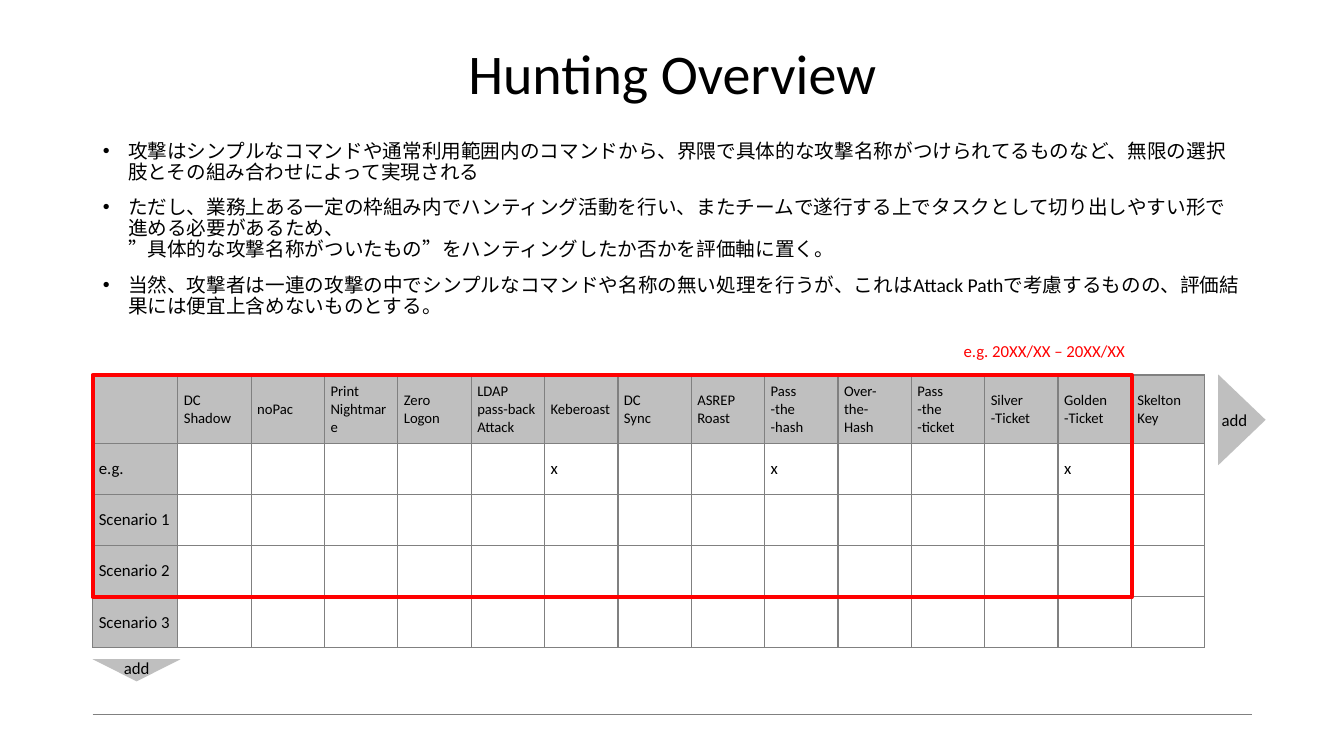
from dataclasses import dataclass
from typing import Any

from lxml.etree import SubElement
from pptx import Presentation
from pptx.dml.color import RGBColor
from pptx.enum.shapes import MSO_CONNECTOR, MSO_SHAPE
from pptx.enum.text import MSO_ANCHOR, MSO_AUTO_SIZE, PP_ALIGN
from pptx.oxml import parse_xml
from pptx.oxml.ns import nsdecls, qn
from pptx.util import Inches, Pt

BLACK = RGBColor(0x00, 0x00, 0x00)
WHITE = RGBColor(0xFF, 0xFF, 0xFF)
SILVER = RGBColor(0xBF, 0xBF, 0xBF)
GRAY = RGBColor(0x80, 0x80, 0x80)
RED = RGBColor(0xFF, 0x00, 0x00)

SLIDE_WIDTH, SLIDE_HEIGHT = Inches(13.33), Inches(7.5)
MARGIN, CONTENT_WIDTH = 6.9, 86.25
TABLE_TOP, STUB_WIDTH, COLUMN_WIDTH = 49.6, 6.33, 5.46
HEADER_HEIGHT, ROW_HEIGHT = 9.07, 6.76

TITLE = "Hunting Overview"
POINTS = [
    "攻撃はシンプルなコマンドや通常利用範囲内のコマンドから、界隈で具体的な攻撃名称がつけられてるものなど、"
    "無限の選択肢とその組み合わせによって実現される",
    "ただし、業務上ある一定の枠組み内でハンティング活動を行い、またチームで遂行する上でタスクとして"
    "切り出しやすい形で進める必要があるため、\n"
    "”具体的な攻撃名称がついたもの”をハンティングしたか否かを評価軸に置く。",
    "当然、攻撃者は一連の攻撃の中でシンプルなコマンドや名称の無い処理を行うが、これはAttack Pathで"
    "考慮するものの、評価結果には便宜上含めないものとする。",
]
ATTACKS = [
    "DC\nShadow", "noPac", "Print\nNightmare", "Zero\nLogon", "LDAP\npass-back\nAttack",
    "Keberoast", "DC\nSync", "ASREP\nRoast", "Pass\n-the\n-hash", "Over-\nthe-\nHash",
    "Pass\n-the\n-ticket", "Silver\n-Ticket", "Golden\n-Ticket", "Skelton\nKey",
]
SCENARIOS = ["e.g.", "Scenario 1", "Scenario 2", "Scenario 3"]
HUNTED = {(1, ATTACKS.index(name) + 1) for name in ("Keberoast", "Pass\n-the\n-hash", "Golden\n-Ticket")}
PERIOD_COLUMNS, PERIOD_ROWS = 13, 3


def across(percent: float) -> int:
    return int(SLIDE_WIDTH * percent / 100)


def down(percent: float) -> int:
    return int(SLIDE_HEIGHT * percent / 100)


@dataclass(frozen=True)
class Area:
    left: float
    top: float
    width: float
    height: float

    def lengths(self) -> tuple[int, int, int, int]:
        return across(self.left), down(self.top), across(self.width), down(self.height)


@dataclass(frozen=True)
class Label:
    text: str
    area: Area
    color: RGBColor = BLACK


@dataclass(frozen=True)
class Pointer:
    area: Area
    rotation: float


TITLE_AREA = Area(MARGIN, 5.33, CONTENT_WIDTH, 9.6)
BODY_AREA = Area(MARGIN, 18, CONTENT_WIDTH, 75.2)
TABLE_AREA = Area(
    MARGIN, TABLE_TOP,
    STUB_WIDTH + len(ATTACKS) * COLUMN_WIDTH, HEADER_HEIGHT + len(SCENARIOS) * ROW_HEIGHT,
)
PERIOD_AREA = Area(
    MARGIN, TABLE_TOP,
    STUB_WIDTH + PERIOD_COLUMNS * COLUMN_WIDTH, HEADER_HEIGHT + PERIOD_ROWS * ROW_HEIGHT,
)
POINTERS = [
    Pointer(Area(MARGIN, 87.2, 6.53, 2.93), 180),
    Pointer(Area(89.03, 52.4, 6.75, 6.27), 90),
]
LABELS = [
    Label("add", Area(7.88, 86.4, 4.58, 4)),
    Label("add", Area(89.55, 53.6, 4.58, 4)),
    Label("e.g. 20XX/XX – 20XX/XX", Area(69.75, 44.4, 15.9, 4), RED),
]


def apply(target: Any, values: dict[str, Any]) -> None:
    for name, value in values.items():
        setattr(target, name, value)


def write(para: Any, text: str, size: float, color: RGBColor = BLACK, **layout: Any) -> None:
    para.text = text
    apply(para, layout)
    for span in para.runs:
        apply(span.font, {"name": "Calibri", "size": Pt(size), "bold": False})
        span.font.color.rgb = color


def place(shape: Any, area: Area) -> None:
    apply(shape, dict(zip(("left", "top", "width", "height"), area.lengths())))


def fill_title(title: Any) -> None:
    place(title, TITLE_AREA)
    apply(title.text_frame, {"vertical_anchor": MSO_ANCHOR.MIDDLE, "auto_size": MSO_AUTO_SIZE.NONE})
    write(title.text_frame.paragraphs[0], TITLE, 40, alignment=PP_ALIGN.CENTER, line_spacing=0.9)


def fill_body(body: Any) -> None:
    place(body, BODY_AREA)
    frame = body.text_frame
    frame.auto_size = MSO_AUTO_SIZE.NONE
    for index, point in enumerate(POINTS):
        para = frame.add_paragraph() if index else frame.paragraphs[0]
        write(para, point, 14, line_spacing=0.9, space_before=Pt(10))
        properties = para._p.get_or_add_pPr()
        properties.set("marL", str(Inches(0.25)))
        properties.set("indent", str(-Inches(0.25)))
        SubElement(properties, qn("a:buChar")).set("char", "•")


def border_cell(cell: Any) -> None:
    properties = cell._tc.get_or_add_tcPr()
    for index, side in enumerate(("lnL", "lnR", "lnT", "lnB")):
        properties.insert(index, parse_xml(
            f'<a:{side} {nsdecls("a")} w="{Pt(1)}"><a:solidFill>'
            f'<a:srgbClr val="{GRAY}"/></a:solidFill></a:{side}>'
        ))


def cell_text(row: int, column: int) -> str:
    if row == 0:
        return ATTACKS[column - 1] if column else ""
    if column == 0:
        return SCENARIOS[row - 1]
    return "x" if (row, column) in HUNTED else ""


def draw_table(page: Any) -> None:
    row_count, column_count = len(SCENARIOS) + 1, len(ATTACKS) + 1
    table = page.shapes.add_table(row_count, column_count, *TABLE_AREA.lengths()).table
    apply(table, {"first_row": False, "horz_banding": False})
    for index, column in enumerate(table.columns):
        column.width = across(COLUMN_WIDTH if index else STUB_WIDTH)
    for index, row in enumerate(table.rows):
        row.height = down(ROW_HEIGHT if index else HEADER_HEIGHT)
    margins = {"margin_left": Inches(0.06), "margin_right": Inches(0.06), "margin_top": 0, "margin_bottom": 0}
    for row in range(row_count):
        for column in range(column_count):
            cell = table.cell(row, column)
            apply(cell, {"vertical_anchor": MSO_ANCHOR.MIDDLE, **margins})
            cell.fill.solid()
            cell.fill.fore_color.rgb = WHITE if row and column else SILVER
            border_cell(cell)
            for index, line in enumerate(cell_text(row, column).split("\n")):
                para = cell.text_frame.add_paragraph() if index else cell.text_frame.paragraphs[0]
                write(para, line, 12 if row else 10.5)


def draw_pointer(page: Any, pointer: Pointer) -> None:
    shape = page.shapes.add_shape(MSO_SHAPE.ISOSCELES_TRIANGLE, *pointer.area.lengths())
    shape.rotation = pointer.rotation
    shape.shadow.inherit = False
    shape.fill.solid()
    shape.fill.fore_color.rgb = SILVER
    shape.line.fill.background()


def draw_label(page: Any, label: Label) -> None:
    frame = page.shapes.add_textbox(*label.area.lengths()).text_frame
    apply(frame, {"word_wrap": True, "auto_size": MSO_AUTO_SIZE.SHAPE_TO_FIT_TEXT})
    write(frame.paragraphs[0], label.text, 12, label.color, alignment=PP_ALIGN.CENTER)


def draw_period(page: Any) -> None:
    box = page.shapes.add_shape(MSO_SHAPE.RECTANGLE, *PERIOD_AREA.lengths())
    box.shadow.inherit = False
    box.fill.background()
    box.line.color.rgb = RED
    box.line.width = Pt(3)


def draw_footer_line(page: Any) -> None:
    height = down(94.53)
    line = page.shapes.add_connector(
        MSO_CONNECTOR.STRAIGHT, across(MARGIN), height, across(MARGIN + CONTENT_WIDTH), height
    )
    line.line.color.rgb = GRAY
    line.line.width = Pt(1)
    SubElement(line._element.spPr, qn("a:effectLst"))


def main() -> None:
    deck = Presentation()
    apply(deck, {"slide_width": SLIDE_WIDTH, "slide_height": SLIDE_HEIGHT})
    page = deck.slides.add_slide(deck.slide_layouts[1])
    fill_title(page.shapes.title)
    fill_body(page.placeholders[1])
    draw_footer_line(page)
    draw_table(page)
    for pointer in POINTERS:
        draw_pointer(page, pointer)
    draw_period(page)
    for label in LABELS:
        draw_label(page, label)
    deck.save("out.pptx")


if __name__ == "__main__":
    main()
